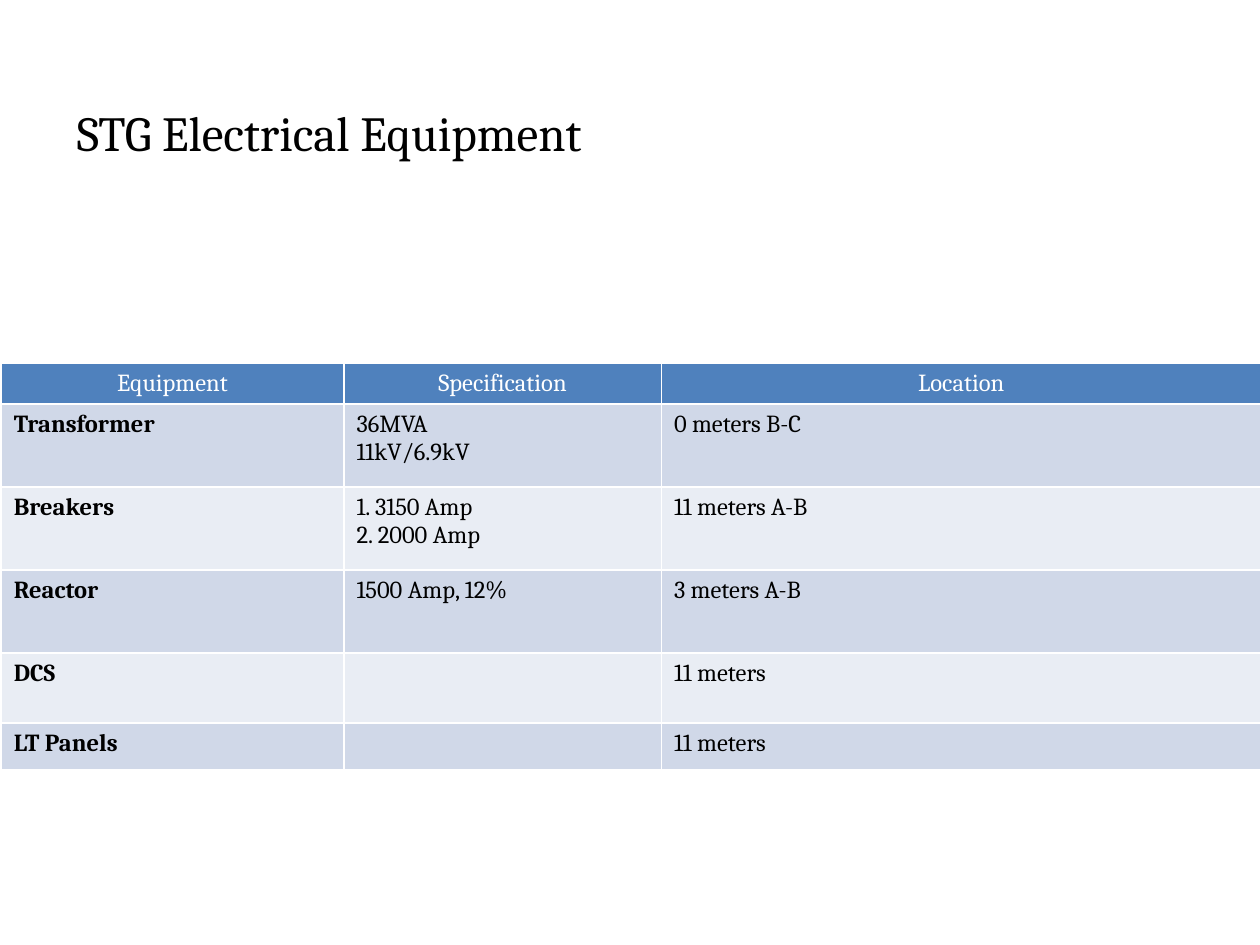
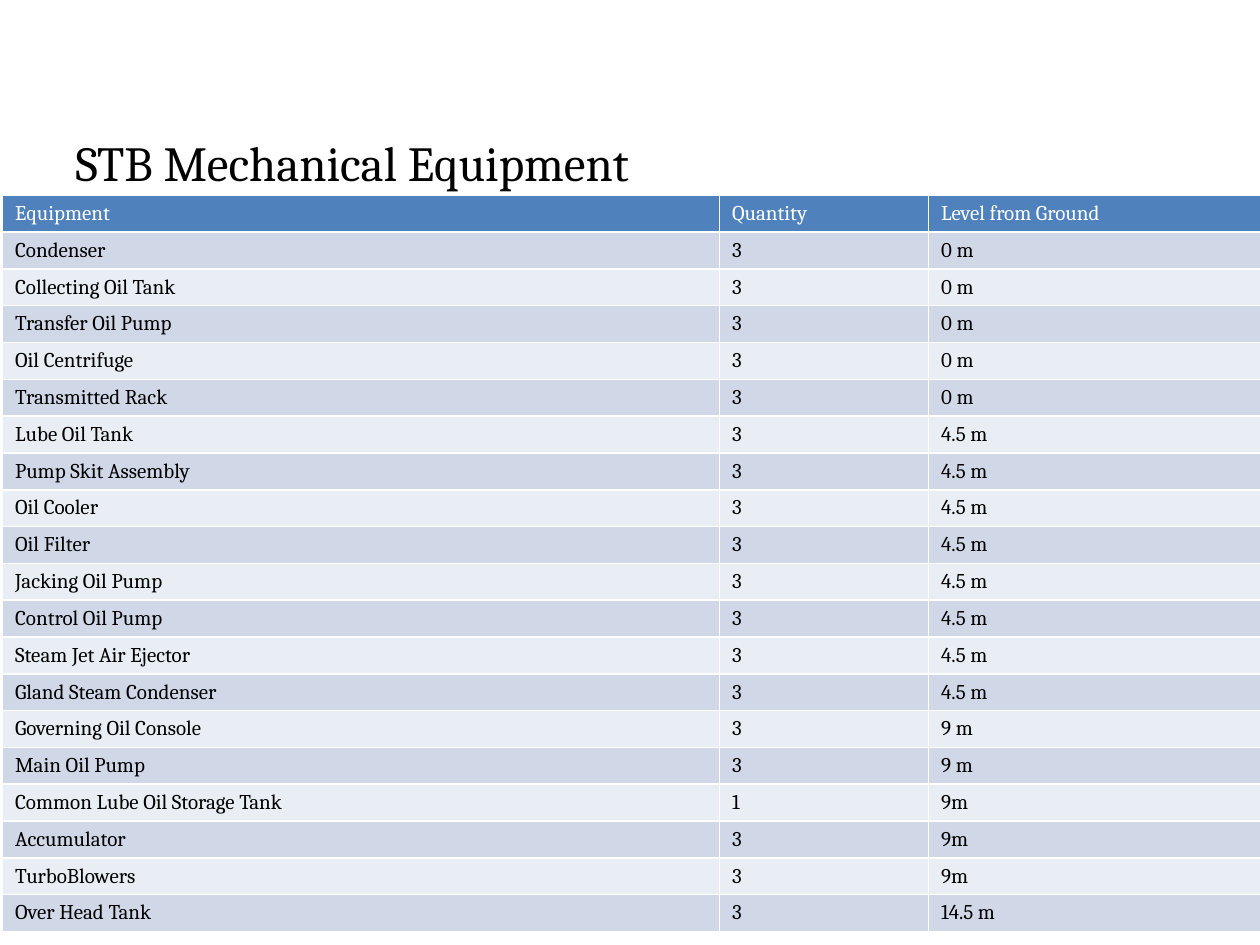
from pptx import Presentation
from pptx.dml.color import RGBColor as RGB
from pptx.enum.text import MSO_ANCHOR as ANCHOR, MSO_AUTO_SIZE as AUTO_SIZE, PP_ALIGN as ALIGN
from pptx.util import Pt

COLORS = {
    "text": "000000",
    "header": "4F81BD",
    "header_text": "FFFFFF",
    "band_dark": "D0D8E8",
    "band_light": "E9EDF4",
}
FONT = "Cambria"
TITLE_SIZE = 28


def style_runs(p, size, color, bold=False):
    for r in p.runs:
        r.font.name = FONT
        r.font.size = Pt(size)
        r.font.bold = bold
        r.font.color.rgb = RGB.from_string(COLORS[color])


electrical_rows = [
    ("Equipment", "Specification", "Location"),
    ("Transformer", "36MVA\n11kV/6.9kV", "0 meters B-C"),
    ("Breakers", "1. 3150 Amp\n2. 2000 Amp", "11 meters A-B"),
    ("Reactor", "1500 Amp, 12%", "3 meters A-B"),
    ("DCS", "", "11 meters"),
    ("LT Panels", "", "11 meters"),
]

equipment_by_level = {
    "0 m": ["Condenser", "Collecting Oil Tank", "Transfer Oil Pump",
            "Oil Centrifuge", "Transmitted Rack"],
    "4.5 m": ["Lube Oil Tank", "Pump Skit Assembly", "Oil Cooler", "Oil Filter",
              "Jacking Oil Pump", "Control Oil Pump", "Steam Jet Air Ejector",
              "Gland Steam Condenser"],
    "9 m": ["Governing Oil Console", "Main Oil Pump"],
    "9m": ["Common Lube Oil Storage Tank", "Accumulator", "TurboBlowers"],
    "14.5 m": ["Over Head Tank"],
}
shared_equipment = {"Common Lube Oil Storage Tank"}
mechanical_rows = [("Equipment", "Quantity", "Level from Ground")]
for level, names in equipment_by_level.items():
    for name in names:
        mechanical_rows.append((name, "1" if name in shared_equipment else "3", level))

slides = [
    {
        "title": "STG Electrical Equipment",
        "title_box": (36.72, 54.72, 648, 90),
        "rows": electrical_rows,
        "table_at": (0.72, 207.5),
        "widths": (195.84, 181.44, 342.72),
        "heights": [22.9, 47.5, 47.5, 47.5, 39.9, 27],
        "size": 14,
        "header_align": ALIGN.CENTER,
        "bold_names": True,
    },
    {
        "title": "STB Mechanical Equipment",
        "title_box": (36, 72, 648, 72),
        "rows": mechanical_rows,
        "table_at": (1.44, 111.6),
        "widths": (409.68, 119.52, 190.08),
        "heights": [21.05] * len(mechanical_rows),
        "size": 12,
        "header_align": ALIGN.LEFT,
        "bold_names": False,
    },
]

prs = Presentation()
prs.slide_width, prs.slide_height = Pt(720), Pt(540)

for page in slides:
    s = prs.slides.add_slide(prs.slide_layouts[5])

    title = s.shapes.title
    title.left, title.top, title.width, title.height = map(Pt, page["title_box"])
    tf = title.text_frame
    tf.text = page["title"]
    tf.word_wrap = True
    tf.auto_size = AUTO_SIZE.NONE
    tf.vertical_anchor = ANCHOR.TOP
    tf.paragraphs[0].alignment = ALIGN.LEFT
    style_runs(tf.paragraphs[0], TITLE_SIZE, "text")

    rows, widths, heights = page["rows"], page["widths"], page["heights"]
    left, top = page["table_at"]
    table = s.shapes.add_table(len(rows), len(widths), Pt(left), Pt(top),
                               Pt(sum(widths)), Pt(sum(heights))).table
    for column, width in zip(table.columns, widths):
        column.width = Pt(width)
    for row, height in zip(table.rows, heights):
        row.height = Pt(height)

    for i, row in enumerate(rows):
        is_header = i == 0
        fill = "header" if is_header else "band_dark" if i % 2 else "band_light"
        for j, text in enumerate(row):
            cell = table.cell(i, j)
            cell.fill.solid()
            cell.fill.fore_color.rgb = RGB.from_string(COLORS[fill])
            cell.text_frame.text = text
            for p in cell.text_frame.paragraphs:
                p.alignment = page["header_align"] if is_header else ALIGN.LEFT
                style_runs(p, page["size"], "header_text" if is_header else "text",
                           bold=page["bold_names"] and j == 0 and not is_header)
                if not text:  # an empty cell would keep 18 pt and stretch its row
                    p._p.get_or_add_endParaRPr().set("sz", str(page["size"] * 100))

prs.save("out.pptx")
